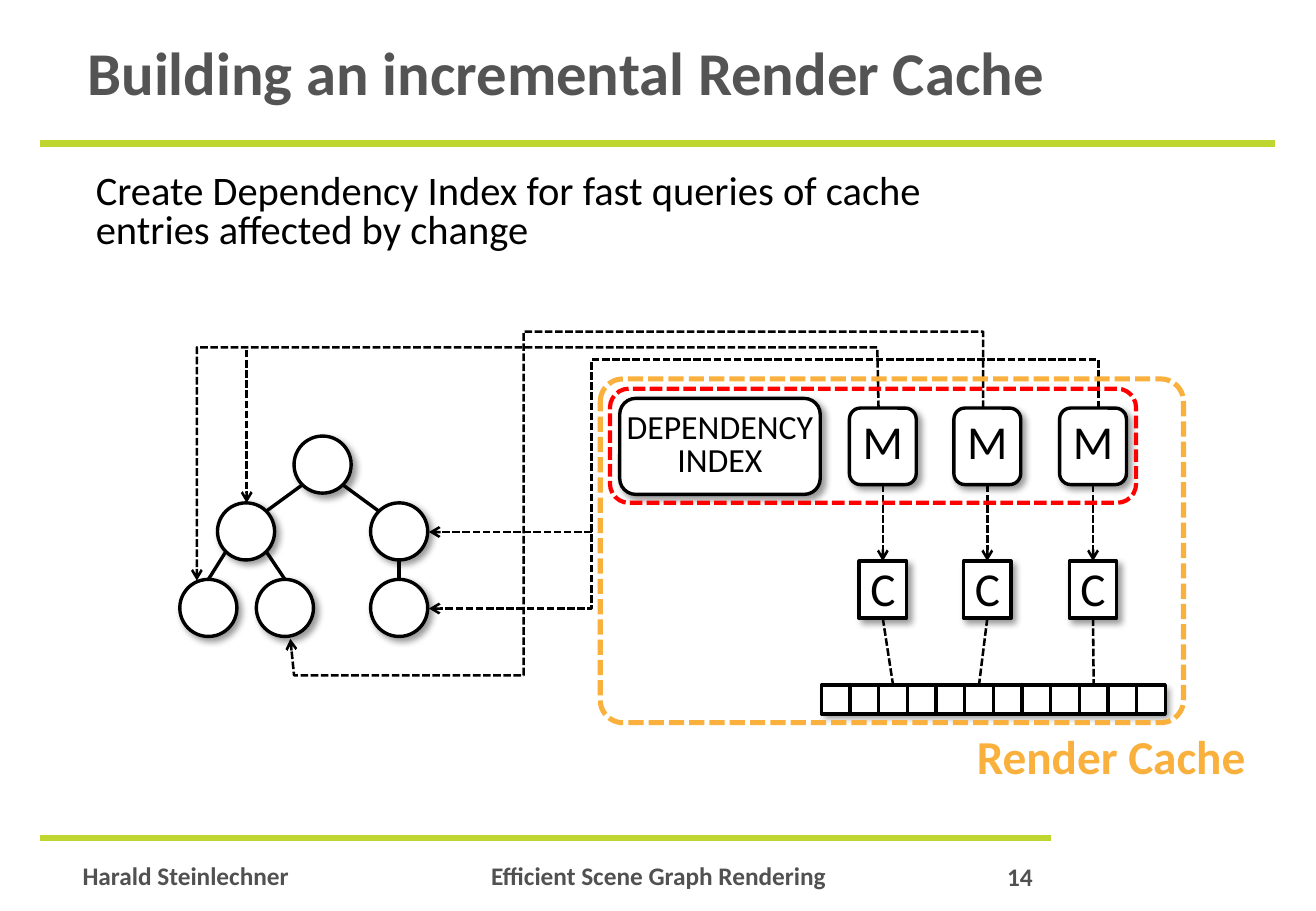
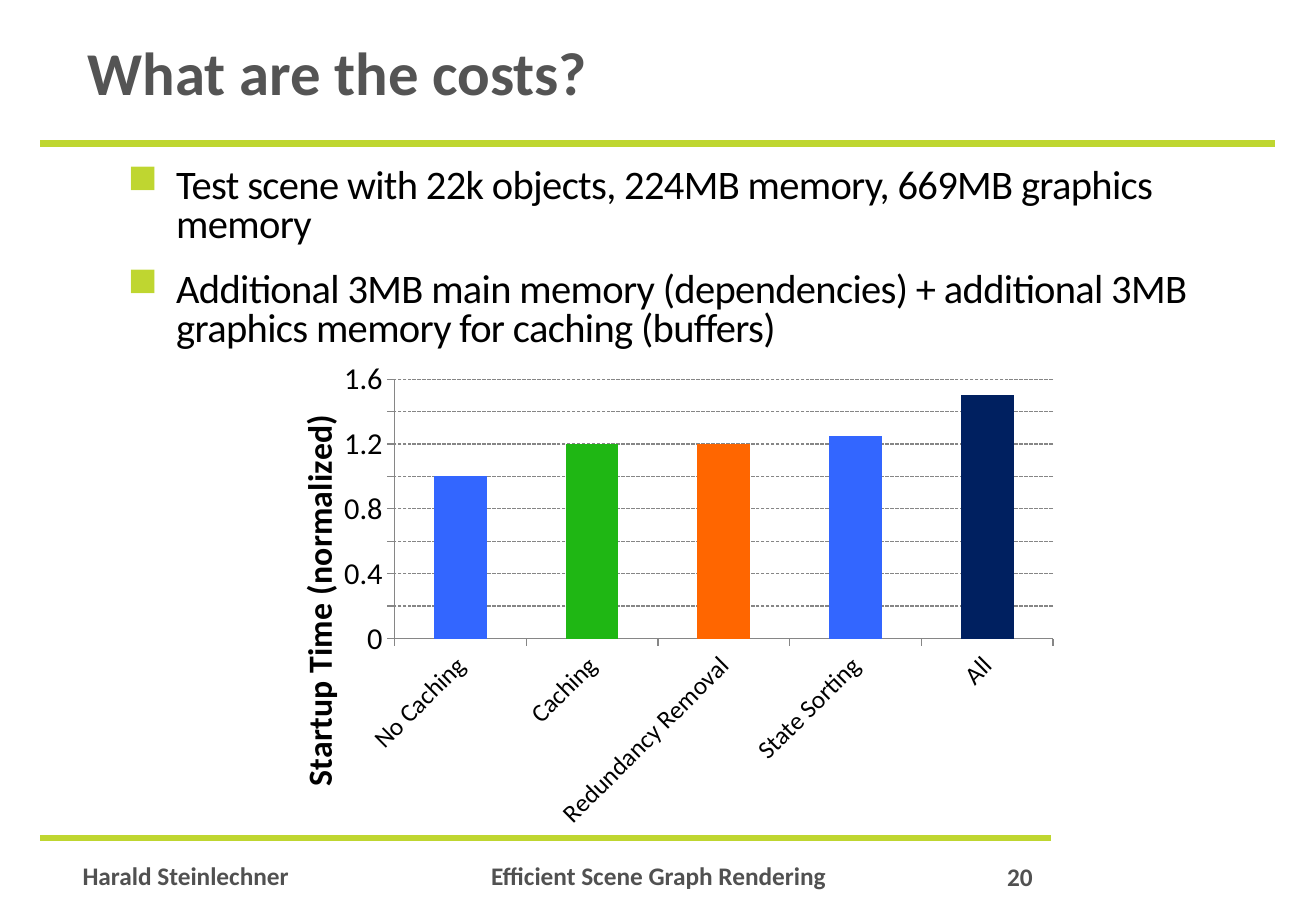
"""Build two slides on a render cache: its structure and its costs."""
import math

import pptx
import pptx.chart.data
import pptx.dml.color
import pptx.enum.chart
import pptx.enum.dml
import pptx.enum.shapes
import pptx.enum.text
import pptx.oxml
import pptx.oxml.ns
import pptx.util

SCALE = 9144
SIZE = (1083, 750)
FONT = "Calibri"
HEX = {"lime": "BFD630", "title": "545454", "foot": "515151", "black": "000000",
       "white": "FFFFFF", "red": "FF0000", "amber": "F9B03D", "grey": "868686",
       "blue": "3366FF", "green": "1FB714", "orange": "FF6600", "navy": "002060"}

KIND = pptx.enum.shapes.MSO_SHAPE
ALIGN = pptx.enum.text.PP_ALIGN
MIDDLE = pptx.enum.text.MSO_ANCHOR.MIDDLE
DASH = pptx.enum.dml.MSO_LINE.SQUARE_DOT
NS = pptx.oxml.ns.nsdecls("a")

TITLES = ["Building an incremental Render Cache", "What are the costs?"]
PAGES = ["14", "20"]
TITLE_AT = (68, 12, 948, 105)
BANDS = [((33, 118), (1049, 118)), ((33, 690), (865, 690))]
FEET = [("Harald Steinlechner", (68, 705, 237, 37), ALIGN.LEFT),
        ("Efficient Scene Graph Rendering", (319, 705, 446, 37), ALIGN.CENTER)]
PAGE_AT = (813, 701, 44, 35)

INTRO = "Create Dependency Index for fast queries of cache entries affected by change"
NODE = 47
TREE = {"root": (242, 359), "left": (179, 414), "right": (305, 414),
        "leaf1": (148, 477), "leaf2": (211, 477), "leaf3": (305, 477)}
EDGES = [("root", 45, "right", 225), ("root", 135, "left", 315),
         ("left", 135, "leaf1", 270), ("left", 45, "leaf2", 270),
         ("right", 90, "leaf3", 270)]
MARKS = [727, 813, 900]
USED = [2, 5, 9]
STRIP = (676, 564, 283, 24)
CELLS = 12
ROUTES = [[(723, 336), (722, 286), (162, 286), (162, 478)],
          [(809, 336), (809, 273), (431, 273), (431, 556), (242, 556), (239, 526)],
          [(904, 336), (904, 296), (487, 296), (487, 501), (353, 501)]]
STEMS = [((203, 288), (203, 414)), ((487, 438), (353, 438))]
FRAMES = [((502, 320, 433, 94), "red", 2.5, None),
          ((494, 312, 480, 283), "amber", 3, 0.066)]

POINTS = ["Test scene with 22k objects, 224MB memory, 669MB graphics memory",
          "Additional 3MB main memory (dependencies) + additional 3MB graphics "
          "memory for caching (buffers)"]
COSTS = [("No Caching", 1, "blue"), ("Caching", 1.2, "green"),
         ("Redundancy Removal", 1.2, "orange"), ("State Sorting", 1.25, "blue"),
         ("All", 1.5, "navy")]
CHART_AT = (211, 288, 669, 403)


def emu(vals):
    return [pptx.util.Emu(round(v * SCALE)) for v in vals]


def rgb(name):
    return pptx.dml.color.RGBColor.from_string(HEX[name])


def write(frame, *texts, size=24, color="black", bold=False, align=ALIGN.LEFT, lead=0.8,
          gap=0, inset=(4, 4, 4, 4), wrap=True, anchor=None, bullet=None, track=0):
    """Fill a text frame with formatted paragraphs."""
    frame.word_wrap = wrap
    frame.auto_size = pptx.enum.text.MSO_AUTO_SIZE.NONE
    frame.vertical_anchor = anchor or pptx.enum.text.MSO_ANCHOR.TOP
    (frame.margin_left, frame.margin_top,
     frame.margin_right, frame.margin_bottom) = emu(inset)
    for i, text in enumerate(texts):
        para = frame.add_paragraph() if i else frame.paragraphs[0]
        para.text = text
        if bullet:
            props = para._p.get_or_add_pPr()
            left, hang = emu((74, -40))
            props.set("marL", str(left))
            props.set("indent", str(hang))
            for xml in (f'<a:buClr {NS}><a:srgbClr val="{HEX["lime"]}"/></a:buClr>',
                        f'<a:buChar {NS} char="{bullet}"/>'):
                props.append(pptx.oxml.parse_xml(xml))
        para.alignment = align
        para.line_spacing = lead
        para.space_before = pptx.util.Pt(gap if i else 0)
        for run in para.runs:
            run.font.name = FONT
            run.font.size = pptx.util.Pt(size)
            run.font.bold = bold
            run.font.color.rgb = rgb(color)
            if track:
                run._r.get_or_add_rPr().set("spc", str(track))


def label(slide, area, *texts, **style):
    write(slide.shapes.add_textbox(*emu(area)).text_frame, *texts, **style)


def stroke(shape, color="black", width=2, dash=False, arrow=False):
    shape.line.color.rgb = rgb(color)
    shape.line.width = pptx.util.Pt(width)
    if dash:
        shape.line.dash_style = DASH
    if arrow:
        shape.line._get_or_add_ln().append(
            pptx.oxml.parse_xml(f'<a:tailEnd {NS} type="arrow"/>'))


def box(slide, kind, area, fill="white", shade=True, **pen):
    shape = slide.shapes.add_shape(kind, *emu(area))
    if fill:
        shape.fill.solid()
        shape.fill.fore_color.rgb = rgb(fill)
    else:
        shape.fill.background()
    stroke(shape, **pen)
    shape.shadow.inherit = False
    if shade:
        shape._element.spPr.find(pptx.oxml.ns.qn("a:effectLst")).append(
            pptx.oxml.parse_xml(
                f'<a:outerShdw {NS} blurRad="50800" dist="38100" dir="2700000" '
                'algn="tl" rotWithShape="0"><a:srgbClr val="000000">'
                '<a:alpha val="40000"/></a:srgbClr></a:outerShdw>'))
    return shape


def link(slide, start, end, **pen):
    line = slide.shapes.add_connector(
        pptx.enum.shapes.MSO_CONNECTOR.STRAIGHT, *emu((*start, *end)))
    stroke(line, **pen)
    line._element.spPr.append(pptx.oxml.parse_xml(f"<a:effectLst {NS}/>"))
    return line


def join(slide, upper, lower, **pen):
    line = link(slide, (0, 0), (0, 0), width=1.5, dash=True, **pen)
    line.begin_connect(upper, 2)
    line.end_connect(lower, 0)


def route(slide, start, *rest):
    path = slide.shapes.build_freeform(*start, scale=SCALE)
    path.add_line_segments(rest, close=False)
    shape = path.convert_to_shape()
    shape.fill.background()
    shape.shadow.inherit = False
    stroke(shape, width=1.5, dash=True, arrow=True)


def start(deck, title, page):
    """Add a slide with the shared title, bands and footers."""
    slide = deck.slides.add_slide(deck.slide_layouts[5])
    head = slide.shapes.title
    head.left, head.top, head.width, head.height = emu(TITLE_AT)
    write(head.text_frame, title, size=36, color="title", bold=True, anchor=MIDDLE)
    for ends in BANDS:
        link(slide, *ends, color="lime", width=4)
    foot = {"size": 15, "color": "foot", "bold": True}
    for text, area, align in FEET:
        label(slide, area, text, align=align, lead=1.13, inset=(0, 0, 0, 0), **foot)
    label(slide, PAGE_AT, page, align=ALIGN.RIGHT, lead=1.16,
          inset=(7, 4, 7, 4), wrap=False, **foot)
    return slide


def rim(name, angle):
    turn = math.radians(angle)
    x, y = TREE[name]
    half = NODE / 2
    return x + half + half * math.cos(turn), y + half + half * math.sin(turn)


def draw_cache(slide):
    label(slide, (69, 139, 772, 76), INTRO, inset=(10, 5, 10, 5))
    for spot in TREE.values():
        box(slide, KIND.OVAL, (*spot, NODE, NODE))
    for upper, out, lower, into in EDGES:
        link(slide, rim(upper, out), rim(lower, into))

    left, top, wide, high = STRIP
    box(slide, KIND.RECTANGLE, STRIP, width=0.5)
    step = wide / CELLS
    cells = [box(slide, KIND.RECTANGLE, (left + i * step, top, step, high), shade=False)
             for i in range(CELLS)]

    style = {"align": ALIGN.CENTER, "anchor": MIDDLE, "wrap": False}
    for mid, used in zip(MARKS, USED):
        mark = box(slide, KIND.ROUNDED_RECTANGLE, (mid - 28, 336, 55, 63))
        write(mark.text_frame, "M", size=28, inset=(6, 6, 6, 6), **style)
        code = box(slide, KIND.RECTANGLE, (mid - 20, 462, 39, 47))
        write(code.text_frame, "C", size=28, inset=(6, 12, 6, 6), **style)
        join(slide, mark, code, arrow=True)
        join(slide, code, cells[used])

    for points in ROUTES:
        route(slide, *points)
    for ends in STEMS:
        link(slide, *ends, width=1.5, dash=True, arrow=True)

    index = box(slide, KIND.ROUNDED_RECTANGLE, (510, 328, 165, 79))
    write(index.text_frame, "DEPENDENCY\nINDEX", size=20, inset=(6, 6, 6, 6), **style)
    for area, color, width, bend in FRAMES:
        frame = box(slide, KIND.ROUNDED_RECTANGLE, area, fill=None, shade=False,
                    color=color, width=width, dash=True)
        if bend:
            frame.adjustments[0] = bend
    label(slide, (794, 603, 244, 49), "Render Cache", size=28, color="amber",
          bold=True, inset=(10, 5, 10, 5), wrap=False)


def place(node, index, inner=False, **spots):
    """Give a chart part a manual layout in fractions of the chart."""
    for old in node.findall(pptx.oxml.ns.qn("c:layout")):
        node.remove(old)
    parts = '<c:layoutTarget val="inner"/>' if inner else ""
    parts += "".join(f'<c:{key}Mode val="edge"/>' for key in "xy")
    parts += "".join(f'<c:{key} val="{val}"/>' for key, val in spots.items())
    node.insert(index, pptx.oxml.parse_xml(
        f'<c:layout {pptx.oxml.ns.nsdecls("c")}><c:manualLayout>{parts}'
        "</c:manualLayout></c:layout>"))


def draw_costs(slide):
    label(slide, (67, 135, 949, 150), *POINTS, gap=15.5, bullet="■", track=-40)
    data = pptx.chart.data.CategoryChartData()
    data.categories = [name for name, _, _ in COSTS]
    data.add_series("Series 1", [cost for _, cost, _ in COSTS])
    chart = slide.shapes.add_chart(
        pptx.enum.chart.XL_CHART_TYPE.COLUMN_CLUSTERED, *emu(CHART_AT), data).chart
    chart.has_legend = False
    chart.has_title = False
    chart.font.name = FONT
    chart.font.size = pptx.util.Pt(10)
    chart.font.color.rgb = rgb("black")

    plot = chart.plots[0]
    plot.gap_width = 150
    plot.vary_by_categories = False
    for i, (_, _, color) in enumerate(COSTS):
        fill = plot.series[0].points[i].format.fill
        fill.solid()
        fill.fore_color.rgb = rgb(color)

    cat, val = chart.category_axis, chart.value_axis
    for axis, size in ((cat, 15), (val, 18)):
        axis.major_tick_mark = pptx.enum.chart.XL_TICK_MARK.OUTSIDE
        axis.format.line.color.rgb = rgb("grey")
        font = axis.tick_labels.font
        font.name = FONT
        font.size = pptx.util.Pt(size)
        font.color.rgb = rgb("black")
    cat._element.txPr.bodyPr.set("rot", "-2700000")

    val.minimum_scale, val.maximum_scale, val.major_unit = 0, 1.6, 0.2
    val.tick_labels.number_format = "General"
    val.tick_labels.number_format_is_linked = False
    grid = val.major_gridlines.format.line
    grid.color.rgb = rgb("grey")
    grid.width = pptx.util.Pt(0.75)
    grid.dash_style = DASH

    para = val.axis_title.text_frame.paragraphs[0]
    val.axis_title.text_frame._txBody.bodyPr.set("rot", "-5400000")
    run = para.add_run()
    run.text = "Startup Time (normalized)"
    run.font.name = FONT
    run.font.size = pptx.util.Pt(20)
    run.font.bold = True
    run.font.color.rgb = rgb("black")
    place(val.axis_title._element, 1, x=0.04, y=0.12)
    place(chart._chartSpace.chart.plotArea, 0, inner=True, x=0.17, y=0.06, w=0.81, h=0.53)


def main():
    deck = pptx.Presentation()
    deck.slide_width, deck.slide_height = emu(SIZE)
    for title, page, draw in zip(TITLES, PAGES, (draw_cache, draw_costs)):
        draw(start(deck, title, page))
    deck.save("out.pptx")


if __name__ == "__main__":
    main()
